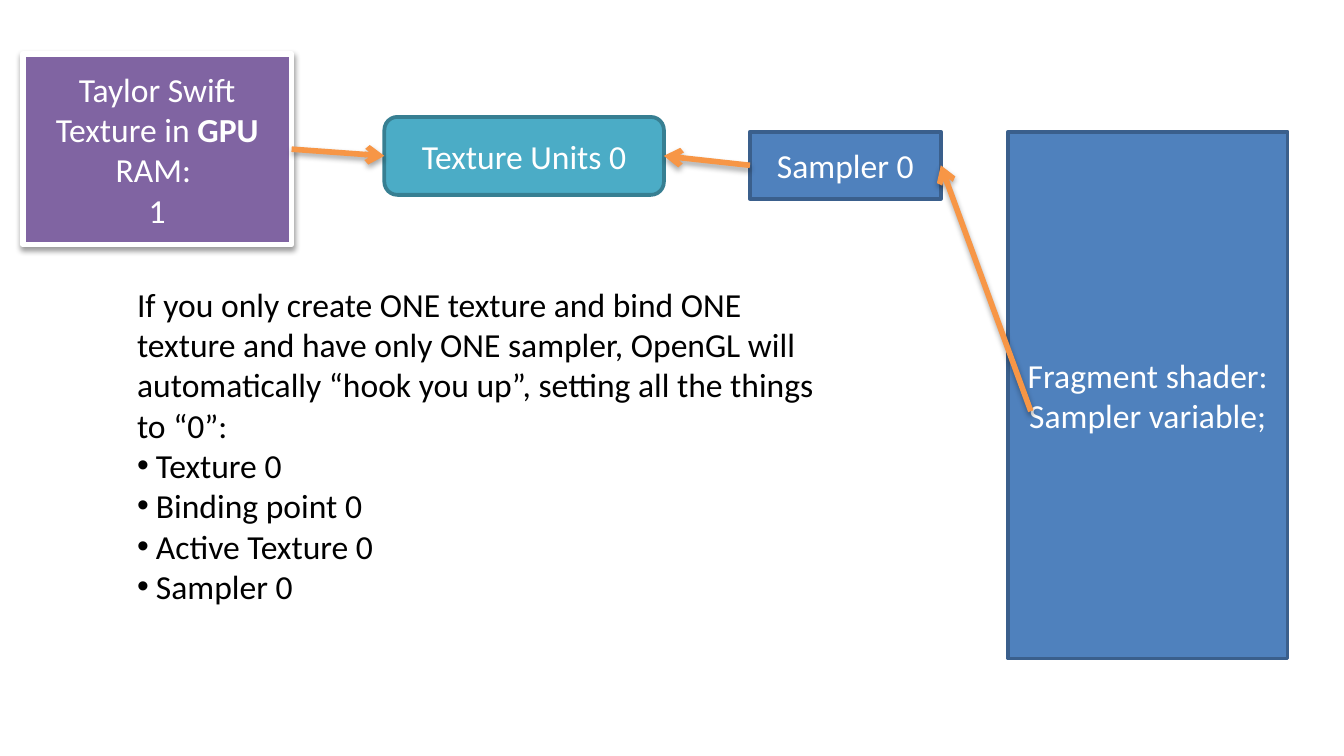
import dataclasses

import lxml.etree
import pptx
import pptx.dml.color
import pptx.enum.shapes
import pptx.enum.text
import pptx.oxml.ns
import pptx.util

Inches = pptx.util.Inches
Pt = pptx.util.Pt
SHAPES = pptx.enum.shapes.MSO_SHAPE
ALIGN = pptx.enum.text.PP_ALIGN
TOP, LEFT, BOTTOM, RIGHT = range(4)


@dataclasses.dataclass(frozen=True)
class Theme:
    font: str = "Calibri"
    size: float = 18
    text: str = "000000"
    light: str = "FFFFFF"
    purple: str = "8064A2"
    blue: str = "4F81BD"
    blue_edge: str = "3A5F8C"
    teal: str = "4BACC6"
    teal_edge: str = "377F92"
    arrow: str = "F79646"
    thin: float = 2
    thick: float = 3


def rgb(value):
    return pptx.dml.color.RGBColor.from_string(value)


def add_xml(parent, tag, **attributes):
    """Append a DrawingML element and return it."""
    values = {name: str(value) for name, value in attributes.items()}
    return lxml.etree.SubElement(parent, pptx.oxml.ns.qn(tag), values)


def add_shadow(properties, opacity, distance):
    """Give a shape or connector a soft shadow that falls straight down."""
    effects = add_xml(properties, "a:effectLst")
    shadow = add_xml(effects, "a:outerShdw", blurRad=Pt(3.1), dist=Pt(distance),
                     dir=90 * 60000, rotWithShape=0)
    color = add_xml(shadow, "a:srgbClr", val="000000")
    add_xml(color, "a:alpha", val=opacity * 1000)


def write(para, text, *, theme, color, align=ALIGN.LEFT, bold_word=None):
    """Fill a paragraph, with one word set in bold if asked."""
    para.alignment = align
    para.space_before = Pt(0)
    before, word, after = text.partition(bold_word) if bold_word else (text, "", "")
    for part, bold in ((before, False), (word, True), (after, False)):
        if part:
            span = para.add_run()
            span.text = part
            span.font.name = theme.font
            span.font.size = Pt(theme.size)
            span.font.bold = bold
            span.font.color.rgb = rgb(color)


class SlideBuilder:
    def __init__(self, page, theme):
        self.page = page
        self.theme = theme

    def box(self, position, lines, fill, edge, *, kind=SHAPES.RECTANGLE,
            width=None, bold_word=None, shadow=False):
        box = self.page.shapes.add_shape(kind, *map(Inches, position))
        box.fill.solid()
        box.fill.fore_color.rgb = rgb(fill)
        box.line.color.rgb = rgb(edge)
        box.line.width = Pt(width or self.theme.thin)
        if shadow:
            add_shadow(box.element.spPr, opacity=38, distance=1.6)
        else:
            box.shadow.inherit = False
        frame = box.text_frame
        frame.word_wrap = True
        frame.vertical_anchor = pptx.enum.text.MSO_ANCHOR.MIDDLE
        for index, line in enumerate(lines):
            para = frame.add_paragraph() if index else frame.paragraphs[0]
            write(para, line, theme=self.theme, color=self.theme.light,
                  align=ALIGN.CENTER, bold_word=bold_word)
        return box

    def arrow(self, target, target_side, *, source=None, source_side=None, start=(0, 0)):
        arrow = self.page.shapes.add_connector(
            pptx.enum.shapes.MSO_CONNECTOR.STRAIGHT, *map(Inches, (*start, *start)))
        if source is not None:
            arrow.begin_connect(source, source_side)
        arrow.end_connect(target, target_side)
        arrow.line.color.rgb = rgb(self.theme.arrow)
        arrow.line.width = Pt(self.theme.thick)
        add_xml(arrow.line._get_or_add_ln(), "a:tailEnd", type="arrow")
        add_shadow(arrow.element.spPr, opacity=35, distance=1.8)

    def body(self, position, intro, items):
        body = self.page.placeholders[1]
        body.left, body.top, body.width, body.height = map(Inches, position)
        frame = body.text_frame
        frame.word_wrap = True
        frame.auto_size = pptx.enum.text.MSO_AUTO_SIZE.SHAPE_TO_FIT_TEXT
        for index, text in enumerate((intro, *items)):
            para = frame.add_paragraph() if index else frame.paragraphs[0]
            properties = para._p.get_or_add_pPr()
            indent = Inches(0.14) if index else 0
            properties.set("marL", str(indent))
            properties.set("indent", str(-indent))
            if index:
                add_xml(properties, "a:buFont", typeface="Arial")
                add_xml(properties, "a:buChar", char="•")
            else:
                add_xml(properties, "a:buNone")
            write(para, text, theme=self.theme, color=self.theme.text)


def main():
    # Widescreen page, 16 to 9
    deck = pptx.Presentation()
    deck.slide_width, deck.slide_height = Inches(10), Inches(10 * 9 / 16)
    page = deck.slides.add_slide(deck.slide_layouts[1])
    title = page.shapes.title.element
    title.getparent().remove(title)
    theme = Theme()
    builder = SlideBuilder(page, theme)

    # Pipeline stages
    texture = builder.box((0.17, 0.4, 2, 1.42), ("Taylor Swift Texture in GPU RAM: ", "1"),
                          theme.purple, theme.light, width=theme.thick,
                          bold_word="GPU", shadow=True)
    builder.box((7.5, 0.98, 2.08, 3.92), ("Fragment shader: Sampler variable;",),
                theme.blue, theme.blue_edge)
    sampler = builder.box((5.58, 0.98, 1.42, 0.5), ("Sampler 0",),
                          theme.blue, theme.blue_edge)
    unit = builder.box((2.86, 0.87, 2.08, 0.58), ("Texture Units 0",),
                       theme.teal, theme.teal_edge, kind=SHAPES.ROUNDED_RECTANGLE)

    # Arrows; the first starts at the sampler variable in the shader text
    builder.arrow(sampler, RIGHT, start=(7.67, 3.06))
    builder.arrow(unit, RIGHT, source=sampler, source_side=LEFT)
    builder.arrow(unit, LEFT, source=texture, source_side=RIGHT)

    # Explanation
    builder.body(
        (0.92, 2.06, 5.25, 2.52),
        "If you only create ONE texture and bind ONE texture and have only ONE sampler, "
        "OpenGL will automatically “hook you up”, setting all the things to “0”:",
        ("Texture 0", "Binding point 0", "Active Texture 0", "Sampler 0"))

    deck.save("out.pptx")


if __name__ == "__main__":
    main()
